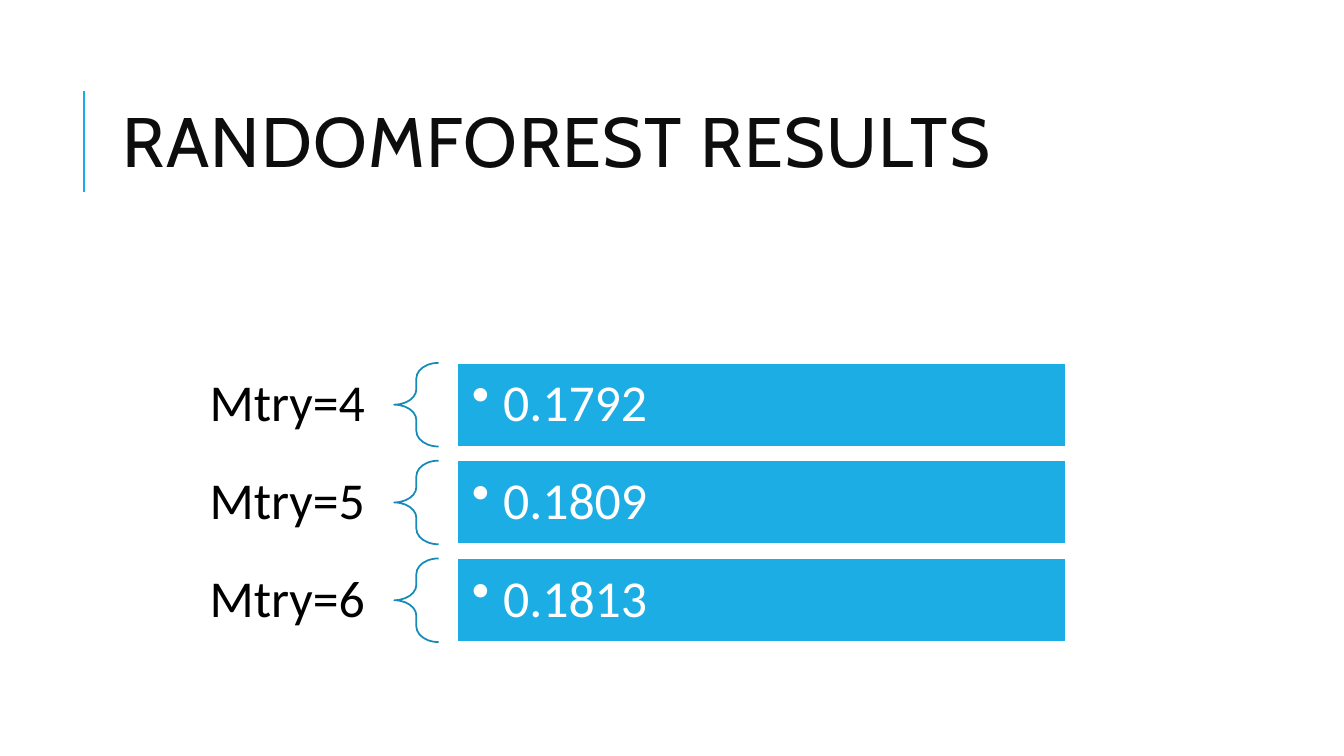
"""Build the slide that lists the random forest result for each Mtry value."""
from pptx import Presentation, util as u
from pptx.dml.color import RGBColor
from pptx.enum import shapes, text
from pptx.oxml import parse_xml
from pptx.oxml.ns import nsdecls

BLUE = RGBColor(0x1C, 0xAD, 0xE4)
BRACE_BLUE = RGBColor(0x16, 0x8B, 0xB7)
INK = RGBColor(0x0D, 0x0D, 0x0D)
BLACK = RGBColor(0, 0, 0)
WHITE = RGBColor(0xFF, 0xFF, 0xFF)

RESULTS = [("Mtry=4", "0.1792"), ("Mtry=5", "0.1809"), ("Mtry=6", "0.1813")]
LABEL_LEFT, BRACE_LEFT, BAR_LEFT = 1.69, 3.91, 4.53
LABEL_WIDTH, BRACE_WIDTH, BAR_WIDTH = 2.22, 0.44, 6.04
FIRST_ROW, ROW_PITCH, ROW_HEIGHT = 3.6, 0.97, 0.83


def write(box, wording, *, font="Calibri", size=37, color=BLACK, spacing=0.9,
          align=text.PP_ALIGN.LEFT, inset=(0.1, 0.05), bullet=False, tracking=0):
    """Fill a shape with one formatted paragraph."""
    frame = box.text_frame
    frame.word_wrap = True
    frame.vertical_anchor = text.MSO_ANCHOR.MIDDLE
    frame.margin_left = frame.margin_right = u.Inches(inset[0])
    frame.margin_top = frame.margin_bottom = u.Inches(inset[1])
    para = frame.paragraphs[0]
    para.alignment = align
    para.line_spacing = spacing
    if bullet:
        props = para._p.get_or_add_pPr()
        props.set("marL", str(u.Inches(0.31)))
        props.set("indent", str(-u.Inches(0.31)))
        props.append(parse_xml(f'<a:buChar {nsdecls("a")} char="•"/>'))
    span = para.add_run()
    span.text = wording
    span.font.name = font
    span.font.size = u.Pt(size)
    span.font.color.rgb = color
    if tracking:
        span._r.get_or_add_rPr().set("spc", str(tracking))


deck = Presentation()
deck.slide_width, deck.slide_height = u.Inches(13.33), u.Inches(7.5)
page = deck.slides.add_slide(deck.slide_layouts[6])

rule = page.shapes.add_connector(
    shapes.MSO_CONNECTOR.STRAIGHT,
    u.Inches(0.83), u.Inches(1.9), u.Inches(0.83), u.Inches(0.9))
rule.line.color.rgb = BLUE
rule.line.width = u.Pt(1.5)
rule._element.spPr.append(parse_xml(f'<a:effectLst {nsdecls("a")}/>'))

title = page.shapes.add_textbox(
    u.Inches(1.12), u.Inches(0.64), u.Inches(10.63), u.Inches(1.64))
write(title, "RANDOMFOREST RESULTS", font="Cabin", size=50, color=INK,
      spacing=0.8, tracking=100)

for row, (setting, result) in enumerate(RESULTS):
    top, height = u.Inches(FIRST_ROW + row * ROW_PITCH), u.Inches(ROW_HEIGHT)

    label = page.shapes.add_textbox(
        u.Inches(LABEL_LEFT), top, u.Inches(LABEL_WIDTH), height)
    write(label, setting, align=text.PP_ALIGN.RIGHT, inset=(0.29, 0.1))

    brace = page.shapes.add_shape(
        shapes.MSO_SHAPE.LEFT_BRACE,
        u.Inches(BRACE_LEFT), top, u.Inches(BRACE_WIDTH), height)
    brace.adjustments[0] = 0.35
    brace.fill.background()
    brace.line.color.rgb = BRACE_BLUE

    bar = page.shapes.add_shape(
        shapes.MSO_SHAPE.RECTANGLE,
        u.Inches(BAR_LEFT), top, u.Inches(BAR_WIDTH), height)
    bar.fill.solid()
    bar.fill.fore_color.rgb = BLUE
    bar.line.color.rgb = WHITE
    write(bar, result, color=WHITE, inset=(0.15, 0.15), bullet=True)

    for shape in (brace, bar):
        shape.shadow.inherit = False
        shape.line.width = u.Pt(1.25)

deck.save("out.pptx")
